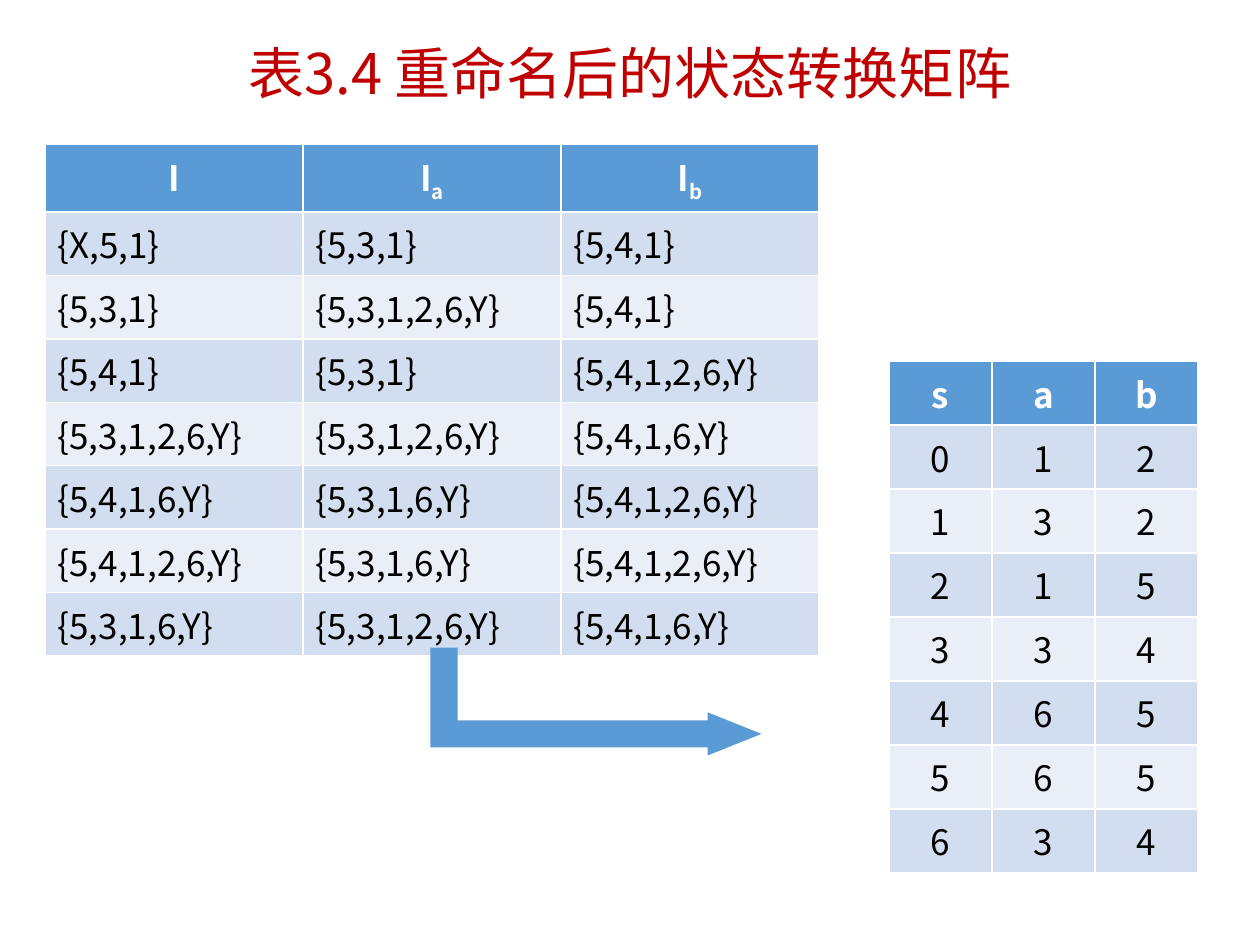
import pptx
import pptx.util
import pptx.oxml.ns
import lxml.etree
from pptx.dml.color import RGBColor
from pptx.enum.shapes import MSO_SHAPE
from pptx.enum.text import MSO_ANCHOR, MSO_AUTO_SIZE, PP_ALIGN

# Content
TITLE = "表3.4 重命名后的状态转换矩阵"
SETS_HEADER = [("I", ""), ("I", "a"), ("I", "b")]  # text, subscript
SETS_ROWS = [
    ("{X,5,1}", "{5,3,1}", "{5,4,1}"),
    ("{5,3,1}", "{5,3,1,2,6,Y}", "{5,4,1}"),
    ("{5,4,1}", "{5,3,1}", "{5,4,1,2,6,Y}"),
    ("{5,3,1,2,6,Y}", "{5,3,1,2,6,Y}", "{5,4,1,6,Y}"),
    ("{5,4,1,6,Y}", "{5,3,1,6,Y}", "{5,4,1,2,6,Y}"),
    ("{5,4,1,2,6,Y}", "{5,3,1,6,Y}", "{5,4,1,2,6,Y}"),
    ("{5,3,1,6,Y}", "{5,3,1,2,6,Y}", "{5,4,1,6,Y}"),
]
STATES_HEADER = [("s", ""), ("a", ""), ("b", "")]
STATES_ROWS = ["012", "132", "215", "334", "465", "565", "634"]  # s, a, b

# Style
RED = RGBColor(0xC0, 0x00, 0x00)
BLUE = RGBColor(0x5B, 0x9B, 0xD5)
BANDS = [RGBColor(0xD2, 0xDE, 0xEF), RGBColor(0xEA, 0xEF, 0xF7)]
WHITE = RGBColor(0xFF, 0xFF, 0xFF)
BLACK = RGBColor(0x00, 0x00, 0x00)
TITLE_FONT = "Noto Sans CJK JP"
TABLE_FONT = "Noto Sans CJK SC"


def px(n):
    return pptx.util.Emu(round(n * 914400 / 126))


def style_run(r, font, size, color, bold=False):
    r.font.size = pptx.util.Pt(size)
    r.font.bold = bold
    r.font.color.rgb = color
    r.font.name = font
    ea = lxml.etree.SubElement(r.font._element, pptx.oxml.ns.qn("a:ea"))
    ea.set("typeface", font)


def fill_cell(cell, text, sub, fill, color, bold, align):
    cell.fill.solid()
    cell.fill.fore_color.rgb = fill
    p = cell.text_frame.paragraphs[0]
    p.text = text
    p.alignment = align
    if sub:
        r = p.add_run()
        r.text = sub
        r.font._element.set("baseline", "-25000")
    for r in p.runs:
        style_run(r, TABLE_FONT, 20, color, bold)


def add_matrix(s, header, rows, left, top, col_w, row_h, align):
    n_rows, n_cols = len(rows) + 1, len(header)
    table = s.shapes.add_table(n_rows, n_cols, px(left), px(top),
                               px(col_w * n_cols), px(row_h * n_rows)).table
    for col in table.columns:
        col.width = px(col_w)
    for row in table.rows:
        row.height = px(row_h)
    for j, (text, sub) in enumerate(header):
        fill_cell(table.cell(0, j), text, sub, BLUE, WHITE, True, PP_ALIGN.CENTER)
    for i, values in enumerate(rows):
        for j, text in enumerate(values):
            fill_cell(table.cell(i + 1, j), text, "", BANDS[i % 2], BLACK, False, align)


prs = pptx.Presentation()
prs.slide_width, prs.slide_height = px(1260), px(945)
s = prs.slides.add_slide(prs.slide_layouts[5])

# Title
title = s.shapes.title
title.left, title.top, title.width, title.height = px(87), px(30), px(1086), px(93)
tf = title.text_frame
tf.text = TITLE
tf.auto_size = MSO_AUTO_SIZE.NONE
tf.vertical_anchor = MSO_ANCHOR.MIDDLE
p = tf.paragraphs[0]
p.alignment = PP_ALIGN.CENTER
p.line_spacing = 0.9
style_run(p.runs[0], TITLE_FONT, 32, RED)

# State table, then the table of sets it renames
add_matrix(s, STATES_HEADER, STATES_ROWS, 889, 361, 103, 64, PP_ALIGN.CENTER)
add_matrix(s, SETS_HEADER, SETS_ROWS, 45, 144, 258, 52, PP_ALIGN.LEFT)

# Bent arrow from the sets to the states
arrow = s.shapes.add_shape(MSO_SHAPE.BENT_UP_ARROW, px(542), px(536), px(108), px(331))
arrow.rotation = 90
for i, value in enumerate((0.25, 0.2, 0.5)):
    arrow.adjustments[i] = value
arrow.shadow.inherit = False
arrow.fill.solid()
arrow.fill.fore_color.rgb = BLUE
arrow.line.fill.background()

prs.save("out.pptx")
